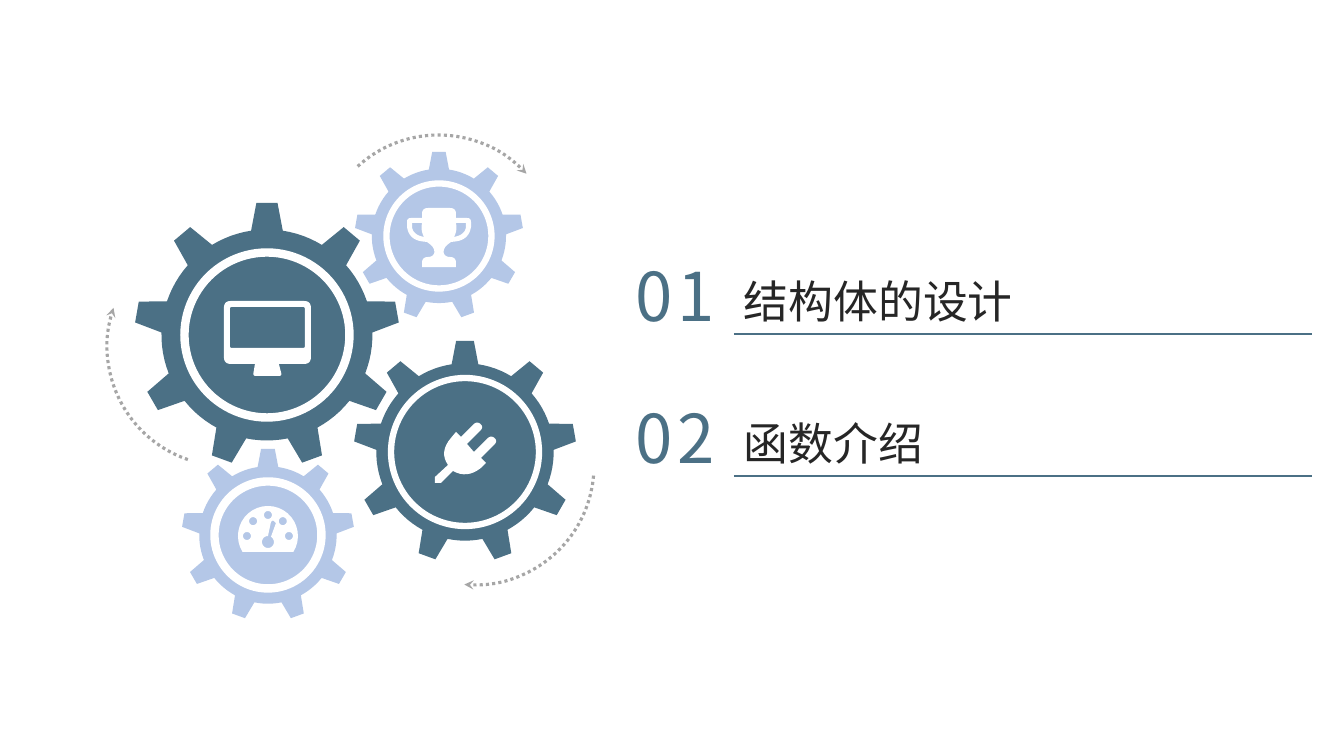
import math
from dataclasses import dataclass

import pptx
import pptx.dml.color
import pptx.enum.dml
import pptx.enum.shapes
import pptx.enum.text
import pptx.oxml
import pptx.oxml.ns
import pptx.util

PX = 914400 / 100.8
SHAPES = pptx.enum.shapes.MSO_SHAPE


@dataclass(frozen=True)
class Theme:
    main: str = "4B7085"
    soft: str = "B4C7E7"
    white: str = "FFFFFF"
    arrow: str = "A6A6A6"
    ink: str = "262626"
    font: str = "Noto Sans CJK SC"
    number_size: int = 48
    topic_size: int = 32


THEME = Theme()


def px(length):
    return pptx.util.Emu(round(length * PX))


def rgb(value):
    return pptx.dml.color.RGBColor.from_string(value)


def add_xml(parent, tag, **values):
    child = pptx.oxml.parse_xml(f"<a:{tag} {pptx.oxml.ns.nsdecls('a')}/>")
    for key, value in values.items():
        child.set(key, value)
    parent.append(child)


def paint(shape, color):
    shape.shadow.inherit = False
    shape.fill.solid()
    shape.fill.fore_color.rgb = rgb(color)
    shape.line.fill.background()


def add_outline(shapes, center, contours, color):
    """Draw closed contours, given in px from the center, as one shape."""
    moved = [[(px(center[0] + x), px(center[1] + y)) for x, y in contour]
             for contour in contours]
    builder = shapes.build_freeform(*moved[0][0], scale=1.0)
    for index, contour in enumerate(moved):
        if index:
            builder.move_to(*contour[0])
        builder.add_line_segments(contour[1:], close=True)
    paint(builder.convert_to_shape(), color)


def arc(x, y, radius, start=0, end=360, steps=24):
    angles = [math.radians(start + (end - start) * i / steps) for i in range(steps + 1)]
    return [(x + radius * math.cos(a), y + radius * math.sin(a)) for a in angles]


def rounded(corners):
    """Turn (x, y) or (x, y, radius) corners into a smooth outline."""
    points = []
    for index, (x, y, *radius) in enumerate(corners):
        if not radius:
            points.append((x, y))
            continue
        ends = []
        for near_x, near_y, *_ in (corners[index - 1], corners[(index + 1) % len(corners)]):
            length = math.hypot(near_x - x, near_y - y)
            share = min(1, radius[0] / length)
            ends.append((x + (near_x - x) * share, y + (near_y - y) * share))
        (x1, y1), (x2, y2) = ends
        for t in (i / 8 for i in range(9)):
            a, b, c = (1 - t) ** 2, 2 * t * (1 - t), t * t
            points.append((a * x1 + b * x + c * x2, a * y1 + b * y + c * y2))
    return points


def mirror(points):
    return [(-x, y) for x, y in reversed(points)]


def monitor():
    case = [(-43, -34, 7), (44, -34, 7), (44, 29, 7), (12, 29), (15, 41, 3),
            (-14, 41, 3), (-12, 29), (-43, 29, 7)]
    screen = [(-37, -28, 2), (38, -28, 2), (38, 13, 2), (-37, 13, 2)]
    return [rounded(case), rounded(screen)]


def trophy():
    half = rounded([(0, -28), (17, -28, 6), (17, -18), (32, -18, 4), (32, -9), (30, 4, 14),
                    (12, 6), (4, 12, 6), (5, 21, 6), (17, 21, 6), (17, 31), (0, 31)])
    handle = rounded([(17, -13), (27, -13), (27, -9), (26, -1, 12), (15, 1), (18, -5, 6)])
    return [half + mirror(half), handle, mirror(handle)]


def gauge():
    dots = [arc(x, y, 4) for x, y in arc(0, 1, 21, 180, 360, 4)]
    needle = arc(0, 7, 6, -60, 270) + rounded([(3, -13), (5, -15, 2), (8, -12)])
    return [arc(0, 1, 30, 148, 392), needle, *dots]


def plug():
    return [rounded([(16, 6), (21, 11), (16, 16), (2, 27, 20), (-12, 19), (-24, 31),
                     (-30, 31), (-30, 25), (-17, 13), (-26, 0, 20), (-14, -14), (-9, -20),
                     (-4, -15), (12, -31, 5), (19, -25, 5), (2, -8), (9, 0),
                     (26, -17, 5), (33, -11, 5)])]


def gear_rim(radius, teeth=9):
    """Trace a toothed rim whose first tooth points up."""
    tooth = [(-0.12, -0.79), (-0.08, -1), (0.08, -1), (0.12, -0.79)]
    step = 360 / teeth
    root = math.hypot(*tooth[0])
    lean = math.degrees(math.atan2(0.12, 0.79))
    points = []
    for turn in (step * i for i in range(teeth)):
        cos, sin = math.cos(math.radians(turn)), math.sin(math.radians(turn))
        points += [(radius * (x * cos - y * sin), radius * (x * sin + y * cos))
                   for x, y in tooth]
        points += arc(0, 0, radius * root, turn - 90 + lean, turn - 90 + step - lean, 6)
    return points


def add_gear(shapes, center, radius, hub, ring, color, icon):
    add_outline(shapes, center, [gear_rim(radius)], color)
    disc = shapes.add_shape(SHAPES.OVAL, px(center[0] - hub / 2), px(center[1] - hub / 2),
                            px(hub), px(hub))
    paint(disc, color)
    disc.line.color.rgb = rgb(THEME.white)
    disc.line.width = pptx.util.Pt(ring)
    add_outline(shapes, center, icon(), THEME.white)


def add_turn_arrow(shapes, left, top, size, rotation):
    arrow = shapes.add_shape(SHAPES.ARC, px(left), px(top), px(size), px(size))
    arrow.shadow.inherit = False
    arrow.rotation = rotation
    arrow.fill.background()
    arrow.line.color.rgb = rgb(THEME.arrow)
    arrow.line.width = pptx.util.Pt(2.25)
    arrow.line.dash_style = pptx.enum.dml.MSO_LINE.ROUND_DOT
    add_xml(arrow.line._get_or_add_ln(), "tailEnd", type="stealth")


def add_gear_train(page, left, top):
    shapes = page.shapes.add_group_shape().shapes
    gears = [(161, 201, 132, 165, 6, THEME.main, monitor),
             (359, 318, 111, 148, 4.5, THEME.main, plug),
             (162, 401, 86, 107, 6, THEME.soft, gauge),
             (333, 102, 84, 105, 4.5, THEME.soft, trophy)]
    for x, y, *details in gears:
        add_gear(shapes, (left + x, top + y), *details)
    for x, y, rotation in [(1, 93, 198.9), (213, 1, 317.5), (249, 212, 94.9)]:
        add_turn_arrow(shapes, left + x, top + y, 239, rotation)


def add_label(shapes, box, text, size, color, spacing=0):
    label = shapes.add_textbox(*map(px, box))
    label.text_frame.word_wrap = True
    label.text_frame.auto_size = pptx.enum.text.MSO_AUTO_SIZE.SHAPE_TO_FIT_TEXT
    para = label.text_frame.paragraphs[0]
    para.text = text
    para.font.size = pptx.util.Pt(size)
    para.font.name = THEME.font
    para.font.color.rgb = rgb(color)
    add_xml(para.font._rPr, "ea", typeface=THEME.font)
    if spacing:
        para.font._rPr.set("spc", str(spacing * 100))


def add_agenda_item(page, box, number, topic):
    left, top, width, height = box
    shapes = page.shapes.add_group_shape().shapes
    add_label(shapes, (left, top, 145, height), number, THEME.number_size, THEME.main, 3)
    add_label(shapes, (left + 108, top + 20, 394, 65), topic, THEME.topic_size, THEME.ink)
    rule = shapes.add_connector(pptx.enum.shapes.MSO_CONNECTOR.STRAIGHT, px(left + 108),
                                px(top + 85), px(left + width), px(top + 85))
    rule.line.color.rgb = rgb(THEME.main)
    rule.line.width = pptx.util.Pt(2)
    add_xml(rule._element.spPr, "effectLst")


def main():
    deck = pptx.Presentation()
    deck.slide_width, deck.slide_height = px(1344), px(756)
    page = deck.slides.add_slide(deck.slide_layouts[6])
    add_gear_train(page, 106, 134)
    for index, topic in enumerate(["结构体的设计", "函数介绍"]):
        add_agenda_item(page, (626, 249 + 142 * index, 686, 92), f"{index + 1:02}", topic)
    deck.save("out.pptx")


if __name__ == "__main__":
    main()
